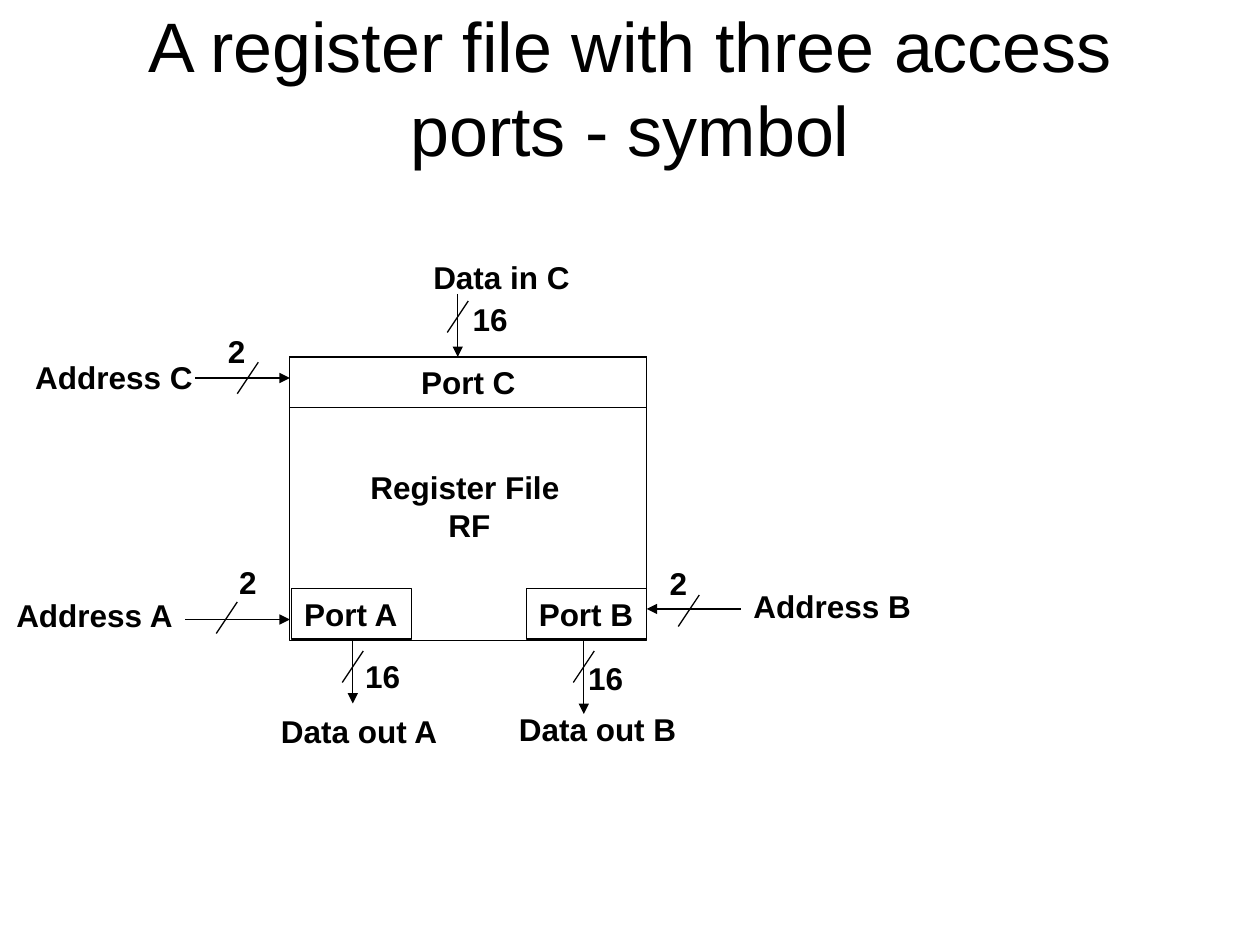
"""Build a slide with the symbol of a register file that has three access ports."""
from lxml.etree import SubElement
from pptx import Presentation
from pptx.dml.color import RGBColor
from pptx.enum.shapes import MSO_CONNECTOR as Connector, MSO_SHAPE as Shape
from pptx.enum.text import MSO_ANCHOR as Anchor, MSO_AUTO_SIZE as AutoSize, PP_ALIGN as Align
from pptx.oxml.ns import qn
from pptx.util import Pt

BLACK = "000000"
TITLE_FONT = {"name": "Arial", "size": Pt(40), "bold": False}
LABEL_FONT = {"name": "Arial", "size": Pt(18), "bold": True}


def color(hex_string):
    return RGBColor.from_string(hex_string)


def write(shape, text, font_format, align, anchor=Anchor.TOP, wrap=False, auto_size=AutoSize.SHAPE_TO_FIT_TEXT):
    frame = shape.text_frame
    frame.text = text
    frame_format = {"word_wrap": wrap, "auto_size": auto_size, "vertical_anchor": anchor}
    for name, value in frame_format.items():
        setattr(frame, name, value)
    for paragraph in frame.paragraphs:
        paragraph.alignment = align
        for name, value in font_format.items():
            setattr(paragraph.font, name, value)
        paragraph.font.color.rgb = color(BLACK)


presentation = Presentation()
presentation.slide_width, presentation.slide_height = Pt(720), Pt(540)
slide = presentation.slides.add_slide(presentation.slide_layouts[5])

title = slide.shapes.title
for name, value in {"left": 36, "top": 21.6, "width": 648, "height": 56.2}.items():
    setattr(title, name, Pt(value))
write(title, "A register file with three access ports - symbol", TITLE_FONT,
      Align.CENTER, Anchor.MIDDLE, True, AutoSize.NONE)

boxes = [
    ("Port C", 165.6, 204, 204, 29, Align.CENTER),
    ("Port A", 166.8, 336.2, 68.6, 29, Align.LEFT),
    ("Port B", 300.8, 336.2, 68.6, 29, Align.LEFT),
    ("", 165.6, 204, 204, 162, Align.CENTER),
]
for text, left, top, width, height, align in boxes:
    box = slide.shapes.add_shape(Shape.RECTANGLE, Pt(left), Pt(top), Pt(width), Pt(height))
    box.shadow.inherit = False
    box.fill.background()
    box.line.color.rgb = color(BLACK)
    box.line.width = Pt(0.75)
    if text:
        write(box, text, LABEL_FONT, align, wrap=align == Align.CENTER)

arrows = [
    (106, 354, 165.6, 354),
    (111.6, 216, 165.6, 216),
    (423.4, 348, 369.6, 348),
    (201.6, 366, 201.6, 402),
    (333.6, 366, 333.6, 408),
    (261.6, 168, 261.6, 204),
]
slash_starts = [(135.6, 344), (207.6, 372), (339.6, 372), (399.6, 340), (147.6, 207), (267.6, 172)]
slashes = [(right, top, right - 12, top + 18) for right, top in slash_starts]
for ends in arrows + slashes:
    connector = slide.shapes.add_connector(Connector.STRAIGHT, *map(Pt, ends))
    connector.line.color.rgb = color(BLACK)
    connector.line.width = Pt(0.75)
    if ends in arrows:
        SubElement(connector.line._get_or_add_ln(), qn("a:tailEnd"), type="triangle")
    SubElement(connector._element.spPr, qn("a:effectLst"))

labels = [
    ("Address A", 2.2, 337, 104.4),
    ("Address B", 423.4, 332, 104.4),
    ("Address C", 13, 201, 104.4),
    ("2", 375.6, 319, 24.5),
    ("2", 129.6, 318, 24.5),
    ("2", 123.1, 186, 24.5),
    ("16", 201.6, 372, 34.5),
    ("16", 329, 373, 34.5),
    ("16", 263, 168, 34.5),
    ("Data out A", 153.4, 403.2, 104.4),
    ("Data out B", 289.4, 402, 104.4),
    ("Data in C", 240.5, 144, 92.2),
    ("Register File \nRF", 204.5, 264.2, 127.4),
]
for text, left, top, width in labels:
    lines = text.count("\n") + 1
    label = slide.shapes.add_textbox(Pt(left), Pt(top), Pt(width), Pt(7.2 + 21.6 * lines))
    write(label, text, LABEL_FONT, Align.CENTER if lines > 1 else Align.LEFT)

presentation.save("out.pptx")
